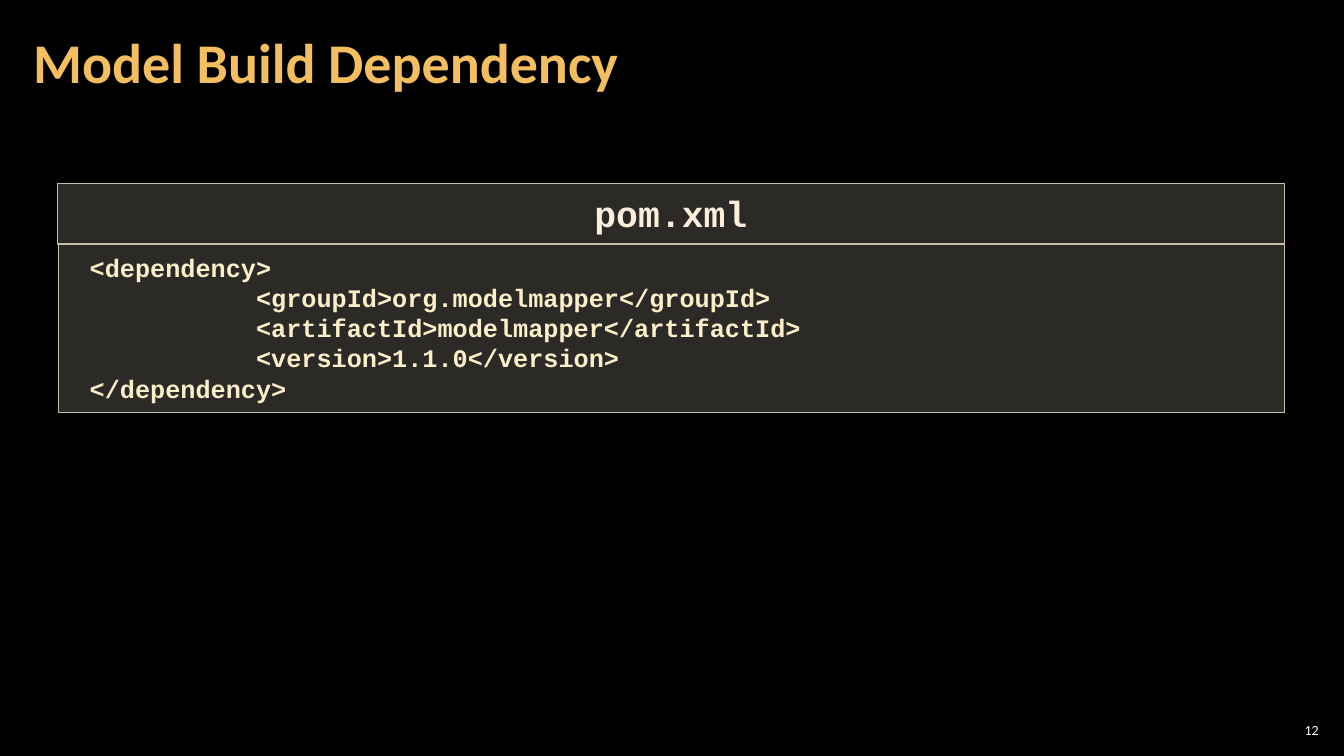
from dataclasses import dataclass

from lxml import etree
from pptx import Presentation
from pptx.dml.color import RGBColor
from pptx.enum import shapes, text
from pptx.oxml import ns
from pptx.util import Inches, Pt


@dataclass(frozen=True)
class Theme:
    background: str = "000000"
    title: str = "F3BE60"
    panel: str = "D9D5C7"
    panel_opacity: int = 20
    border: str = "C7BFAC"
    heading: str = "FBEEDC"
    code: str = "FBEEC9"
    number: str = "FFFFFF"
    title_size: int = 40
    heading_size: int = 26
    code_size: int = 18
    number_size: int = 10
    body_font: str = "Calibri"
    code_font: str = "Courier New"


THEME = Theme()
CODE_INDENT, NESTED_INDENT = 0.15, 1.8
DEPENDENCY = [
    ("<dependency>", CODE_INDENT),
    ("<groupId>org.modelmapper</groupId>", NESTED_INDENT),
    ("<artifactId>modelmapper</artifactId>", NESTED_INDENT),
    ("<version>1.1.0</version>", NESTED_INDENT),
    ("</dependency>", CODE_INDENT),
]


def set_all(target, values):
    for name, value in values.items():
        setattr(target, name, value)


def write(box, lines, font, size, color, bold=True, margins=(0.12, 0.04),
          anchor=text.MSO_ANCHOR.MIDDLE, **para_format):
    """Fill a box with (wording, left indent) lines."""
    frame = box.text_frame
    side, end = map(Inches, margins)
    set_all(frame, dict(word_wrap=True, vertical_anchor=anchor,
                        margin_left=side, margin_right=side,
                        margin_top=end, margin_bottom=end))
    for index, (wording, indent) in enumerate(lines):
        para = frame.add_paragraph() if index else frame.paragraphs[0]
        set_all(para, para_format)
        if indent:
            para._p.get_or_add_pPr().set("marL", str(Inches(indent)))
        span = para.add_run()
        span.text = wording
        set_all(span.font, dict(name=font, size=Pt(size), bold=bold))
        span.font.color.rgb = RGBColor.from_string(color)


def add_label(page, place, wording, **style):
    box = page.shapes.add_textbox(*map(Inches, place))
    write(box, [(wording, 0)], THEME.body_font, **style)


def add_panel(page, place, lines, size, color, align):
    """Add a translucent bordered panel of code text."""
    box = page.shapes.add_shape(shapes.MSO_SHAPE.RECTANGLE, *map(Inches, place))
    box.shadow.inherit = False
    box.fill.solid()
    box.fill.fore_color.rgb = RGBColor.from_string(THEME.panel)
    tint = box.fill._xPr.find(".//" + ns.qn("a:srgbClr"))
    etree.SubElement(tint, ns.qn("a:alpha"), val=str(THEME.panel_opacity * 1000))
    box.line.color.rgb = RGBColor.from_string(THEME.border)
    box.line.width = Pt(1)
    write(box, lines, THEME.code_font, size, color, margins=(0.16, 0.08),
          anchor=text.MSO_ANCHOR.TOP, alignment=align)


def main():
    deck = Presentation()
    set_all(deck, dict(slide_width=Inches(13.33), slide_height=Inches(7.5)))
    page = deck.slides.add_slide(deck.slide_layouts[6])
    page.background.fill.solid()
    page.background.fill.fore_color.rgb = RGBColor.from_string(THEME.background)

    # Page number and title
    add_label(page, (12.65, 7.14, 0.47, 0.21), "12", size=THEME.number_size,
              color=THEME.number, bold=False, margins=(0.04, 0.04),
              alignment=text.PP_ALIGN.RIGHT)
    add_label(page, (0.21, 0.04, 10.47, 1.21), "Model Build Dependency",
              size=THEME.title_size, color=THEME.title, line_spacing=0.9)

    # Code listing under its file name
    add_panel(page, (0.58, 2.42, 12.16, 1.67), DEPENDENCY,
              THEME.code_size, THEME.code, text.PP_ALIGN.LEFT)
    add_panel(page, (0.57, 1.82, 12.17, 0.6), [("pom.xml", 0)],
              THEME.heading_size, THEME.heading, text.PP_ALIGN.CENTER)

    deck.save("out.pptx")


if __name__ == "__main__":
    main()
